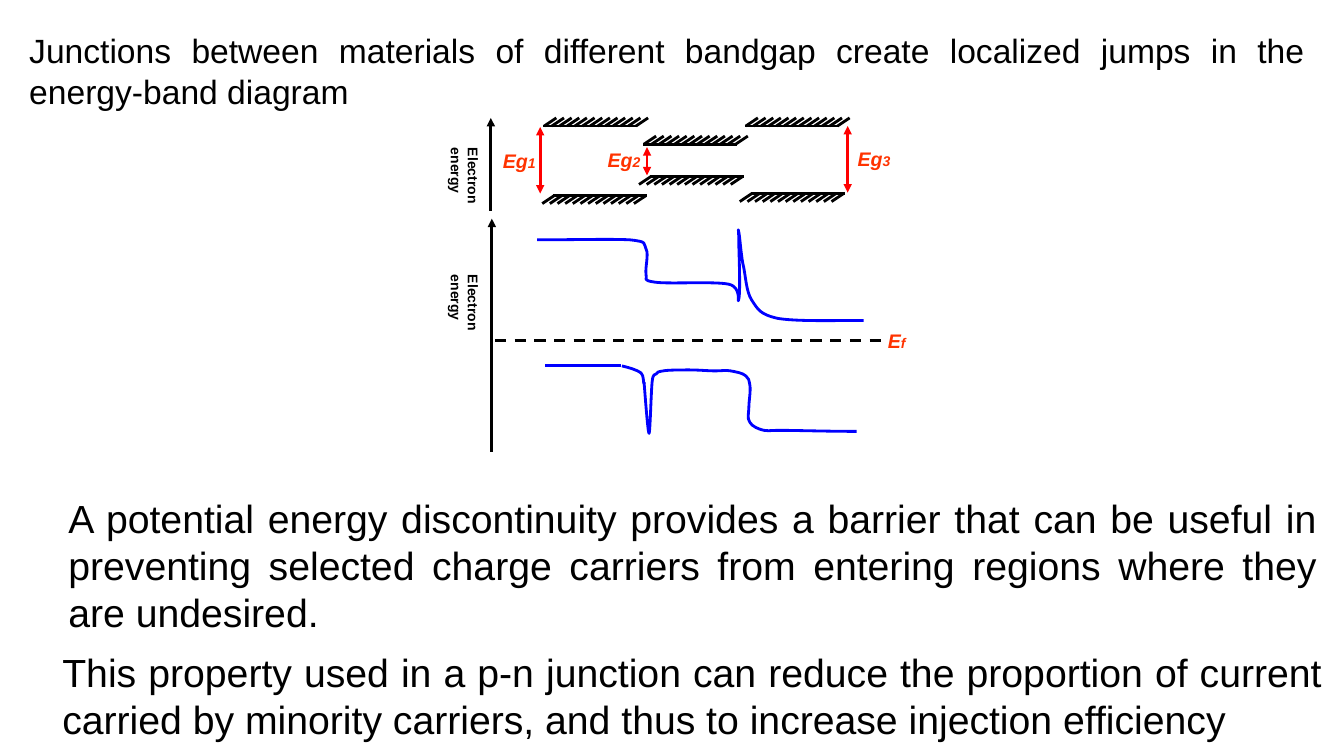
from dataclasses import dataclass

from pptx import Presentation
from pptx.dml.color import RGBColor
from pptx.enum.dml import MSO_LINE
from pptx.enum.shapes import MSO_CONNECTOR
from pptx.enum.text import MSO_ANCHOR, MSO_AUTO_SIZE, PP_ALIGN
from pptx.oxml.ns import qn
from pptx.shapes.shapetree import GroupShapes
from pptx.text.text import TextFrame
from pptx.util import Cm, Length, Pt
from lxml import etree

STRAIGHT = MSO_CONNECTOR.STRAIGHT
DASH = MSO_LINE.DASH
GROW = MSO_AUTO_SIZE.SHAPE_TO_FIT_TEXT
TOP = MSO_ANCHOR.TOP
JUSTIFY = PP_ALIGN.JUSTIFY
LEFT = PP_ALIGN.LEFT
TITLE_ONLY = 5

BLACK = RGBColor(0x00, 0x00, 0x00)
BLUE = RGBColor(0x00, 0x00, 0xFF)
RED = RGBColor(0xFF, 0x00, 0x00)
ORANGE = RGBColor(0xFF, 0x33, 0x00)

STROKE = Pt(2)
CM_PER_UNIT = 2.54
HATCH_COUNT = 13
HATCH_PITCH = 0.91 / (HATCH_COUNT - 1)

TITLE_FONT = {"name": "Arial", "size": Pt(24), "bold": False}
BODY_FONT = {"name": "Arial", "size": Pt(28)}
AXIS_FONT = {"name": "Arial", "size": Pt(10), "bold": True}
SYMBOL_FONT = {"name": "Arial", "size": Pt(14), "bold": True, "italic": True}
SUBSCRIPT_FONT = SYMBOL_FONT | {"size": Pt(10)}

Point = tuple[float, float]
Box = tuple[float, float, float, float]


@dataclass(frozen=True)
class BandEdge:
    left: float
    y: float
    hatch_direction: int  # 1 hatches upwards, -1 downwards


@dataclass(frozen=True)
class Arrow:
    start: Point
    end: Point
    color: RGBColor = BLACK
    ends: tuple[str, ...] = ("tailEnd",)


@dataclass(frozen=True)
class Symbol:
    letters: str
    subscript: str
    left: float
    top: float


@dataclass(frozen=True)
class Statement:
    text: str
    box: Box


BOTH_ENDS = ("headEnd", "tailEnd")
ARROWS = [
    Arrow((4.88, 4.48), (4.88, 2.17)),
    Arrow((4.87, 2.09), (4.87, 1.17)),
    Arrow((5.36, 1.26), (5.36, 1.92), RED, BOTH_ENDS),
    Arrow((6.42, 1.46), (6.42, 1.74), RED, BOTH_ENDS),
    Arrow((8.41, 1.25), (8.41, 1.91), RED, BOTH_ENDS),
]
BAND_EDGES = [
    BandEdge(5.39, 1.25, 1), BandEdge(6.38, 1.43, 1), BandEdge(7.39, 1.25, 1),
    BandEdge(5.49, 1.94, -1), BandEdge(6.45, 1.75, -1), BandEdge(7.45, 1.92, -1),
]
SYMBOLS = [
    Symbol("Eg", "1", 4.89, 1.43), Symbol("Eg", "2", 5.93, 1.42),
    Symbol("Eg", "3", 8.41, 1.41), Symbol("E", "f", 8.71, 3.21),
]
AXIS_LABEL_TOPS = [1.37, 2.63]

# Each curve: a start point, then two control points and an end point per Bézier segment.
CONDUCTION_CURVE = [
    (5.33, 2.38), (5.7, 2.38), (6.06, 2.37), (6.25, 2.38), (6.43, 2.4), (6.38, 2.41),
    (6.41, 2.47), (6.44, 2.52), (6.4, 2.66), (6.41, 2.72), (6.43, 2.77), (6.36, 2.78),
    (6.5, 2.8), (6.63, 2.82), (7.09, 2.79), (7.23, 2.82), (7.37, 2.85), (7.31, 3.04),
    (7.33, 2.97), (7.35, 2.89), (7.33, 2.49), (7.33, 2.38), (7.33, 2.27), (7.32, 2.26),
    (7.33, 2.3), (7.34, 2.34), (7.35, 2.5), (7.37, 2.61), (7.4, 2.73), (7.4, 2.89),
    (7.46, 2.98), (7.52, 3.07), (7.54, 3.12), (7.72, 3.16), (7.91, 3.19), (8.24, 3.18),
    (8.57, 3.18),
]
VALENCE_BEND = [
    (6.17, 3.63), (6.25, 3.65), (6.32, 3.67), (6.36, 3.7), (6.39, 3.73), (6.38, 3.79),
    (6.39, 3.81),
]
VALENCE_CURVE = [
    (6.39, 3.79), (6.41, 4.05), (6.43, 4.3), (6.44, 4.3), (6.45, 4.3), (6.46, 3.89),
    (6.47, 3.79), (6.48, 3.69), (6.5, 3.73), (6.51, 3.71), (6.53, 3.69), (6.52, 3.69),
    (6.58, 3.68), (6.63, 3.67), (6.76, 3.67), (6.84, 3.67), (6.93, 3.67), (7.03, 3.68),
    (7.1, 3.68), (7.16, 3.68), (7.2, 3.67), (7.25, 3.68), (7.3, 3.69), (7.37, 3.7),
    (7.4, 3.73), (7.43, 3.75), (7.43, 3.77), (7.44, 3.82), (7.45, 3.88), (7.43, 3.98),
    (7.43, 4.04), (7.43, 4.1), (7.41, 4.15), (7.44, 4.19), (7.46, 4.23), (7.53, 4.26),
    (7.58, 4.27), (7.63, 4.28), (7.6, 4.27), (7.75, 4.27), (7.9, 4.27), (8.2, 4.28),
    (8.5, 4.28),
]

HEADING = Statement(
    "Junctions between materials of different bandgap create localized jumps in the "
    "energy-band diagram", (0.19, 0.25, 12.85, 0.91))
STATEMENTS = [
    Statement("A potential energy discontinuity provides a barrier that can be useful in "
              "preventing selected charge carriers from entering regions where they are "
              "undesired.", (0.58, 4.85, 12.58, 1.51)),
    Statement("This property used in a p-n junction can reduce the proportion of current "
              "carried by minority carriers, and thus to increase injection efficiency",
              (0.52, 6.38, 12.69, 1.04)),
]


def to_cm(*values: float) -> list[Length]:
    """Convert slide coordinates to centimetre lengths."""
    return [Cm(value * CM_PER_UNIT) for value in values]


def write(frame: TextFrame, pieces: list[tuple[str, dict]], color: RGBColor,
          alignment: PP_ALIGN) -> None:
    frame_format = {"word_wrap": True, "auto_size": GROW, "vertical_anchor": TOP}
    for attribute, value in frame_format.items():
        setattr(frame, attribute, value)
    paragraph = frame.paragraphs[0]
    paragraph.alignment = alignment
    for text, font_format in pieces:
        run = paragraph.add_run()
        run.text = text
        for attribute, value in font_format.items():
            setattr(run.font, attribute, value)
        run.font.color.rgb = color


def draw_line(shapes: GroupShapes, start: Point, end: Point, color: RGBColor = BLACK,
              dash: MSO_LINE | None = None, ends: tuple[str, ...] = ()) -> None:
    connector = shapes.add_connector(STRAIGHT, *to_cm(*start, *end))
    connector.line.color.rgb = color
    connector.line.width = STROKE
    if dash is not None:
        connector.line.dash_style = dash
    for arrowhead in ends:
        etree.SubElement(connector.get_or_add_ln(), qn(f"a:{arrowhead}"), type="triangle")
    etree.SubElement(connector.element.spPr, qn("a:effectLst"))


def draw_band_edge(shapes: GroupShapes, edge: BandEdge) -> None:
    draw_line(shapes, (edge.left, edge.y), (edge.left + 0.93, edge.y))
    for index in range(HATCH_COUNT):
        x = edge.left + 0.01 + index * HATCH_PITCH
        tip = (x + 0.12 * edge.hatch_direction, edge.y - 0.08 * edge.hatch_direction)
        draw_line(shapes, (x, edge.y), tip)


def draw_curve(shapes: GroupShapes, points: list[Point]) -> None:
    """Outline the control points, then join each three into one Bézier segment."""
    builder = shapes.build_freeform(*to_cm(*points[0]))
    builder.add_line_segments([to_cm(*point) for point in points[1:]], close=False)
    curve = builder.convert_to_shape()
    corners = list(curve.element.iter(qn("a:lnTo")))
    for first in range(0, len(corners), 3):
        segment = etree.Element(qn("a:cubicBezTo"))
        corners[first].addprevious(segment)
        for corner in corners[first:first + 3]:
            segment.append(corner[0])
            corner.getparent().remove(corner)
    curve.fill.background()
    curve.line.color.rgb = BLUE
    curve.line.width = STROKE
    curve.shadow.inherit = False


def main() -> None:
    presentation = Presentation()
    presentation.slide_width, presentation.slide_height = Cm(33.87), Cm(19.05)
    slide = presentation.slides.add_slide(presentation.slide_layouts[TITLE_ONLY])

    title = slide.shapes.title
    for side, length in zip(("left", "top", "width", "height"), to_cm(*HEADING.box)):
        setattr(title, side, length)
    write(title.text_frame, [(HEADING.text, TITLE_FONT)], BLACK, JUSTIFY)

    diagram = slide.shapes.add_group_shape().shapes
    draw_line(diagram, (4.91, 3.38), (8.75, 3.38), dash=DASH)
    draw_line(diagram, (5.41, 3.63), (6.16, 3.63), BLUE)
    for curve in (CONDUCTION_CURVE, VALENCE_BEND, VALENCE_CURVE):
        draw_curve(diagram, curve)
    for edge in BAND_EDGES:
        draw_band_edge(diagram, edge)
    for arrow in ARROWS:
        draw_line(diagram, arrow.start, arrow.end, arrow.color, ends=arrow.ends)
    for symbol in SYMBOLS:
        label = diagram.add_textbox(*to_cm(symbol.left, symbol.top, 0.58, 0.33))
        pieces = [(symbol.letters, SYMBOL_FONT), (symbol.subscript, SUBSCRIPT_FONT)]
        write(label.text_frame, pieces, ORANGE, LEFT)
    for top in AXIS_LABEL_TOPS:
        axis_label = diagram.add_textbox(*to_cm(4.46, top, 0.37, 1.23))
        write(axis_label.text_frame, [("Electron energy", AXIS_FONT)], BLACK, LEFT)
        axis_label.element.txBody.bodyPr.set("vert", "eaVert")

    for statement in STATEMENTS:
        body = slide.shapes.add_textbox(*to_cm(*statement.box))
        write(body.text_frame, [(statement.text, BODY_FONT)], BLACK, JUSTIFY)

    presentation.save("out.pptx")


if __name__ == "__main__":
    main()
